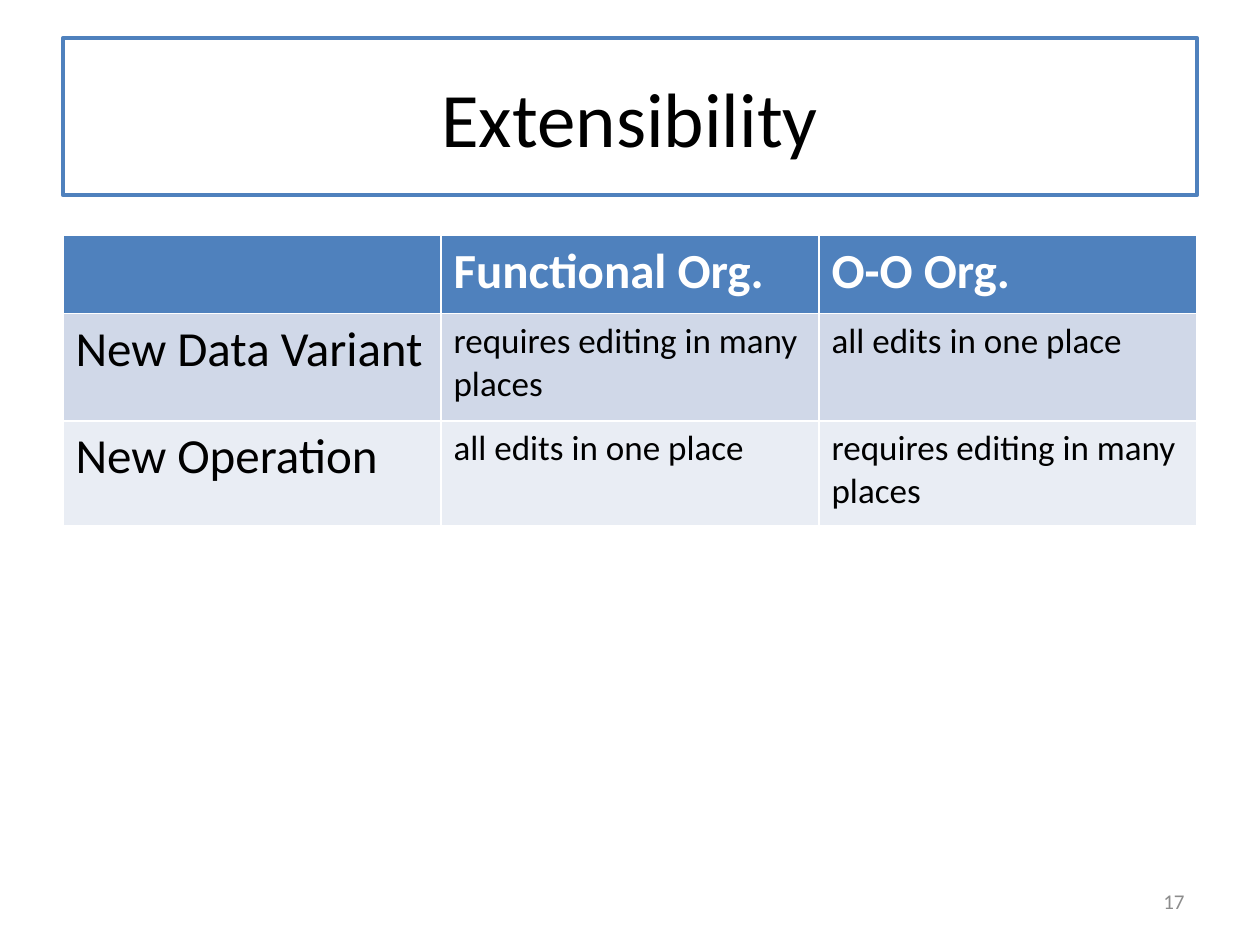
from dataclasses import dataclass

from pptx import Presentation
from pptx.dml.color import RGBColor
from pptx.enum.text import MSO_ANCHOR, PP_ALIGN
from pptx.util import Inches, Pt

MIDDLE = MSO_ANCHOR.MIDDLE
CENTER, LEFT, RIGHT = PP_ALIGN.CENTER, PP_ALIGN.LEFT, PP_ALIGN.RIGHT


@dataclass(frozen=True)
class Theme:
    """Font, colours and type sizes of the slide."""
    font: str = "Calibri"
    blue: str = "4F81BD"
    white: str = "FFFFFF"
    black: str = "000000"
    gray: str = "8C8C8C"
    bands: tuple = ("D0D8E8", "E9EDF4")
    title: int = 44
    head: int = 28
    body: int = 20
    small: int = 12


def write(frame, text, size, color, align=LEFT, bold=False):
    """Put one formatted paragraph into a text frame."""
    frame.text = text
    para = frame.paragraphs[0]
    para.alignment = align
    for run in para.runs:
        run.font.name = theme.font
        run.font.size = Pt(size)
        run.font.bold = bold
        run.font.color.rgb = RGBColor.from_string(color)


def paint(fill, color):
    """Give a fill one solid colour."""
    fill.solid()
    fill.fore_color.rgb = RGBColor.from_string(color)


theme = Theme()
deck = Presentation()
deck.slide_width, deck.slide_height = Inches(10), Inches(7.5)
slide = deck.slides.add_slide(deck.slide_layouts[5])
margin = deck.slide_width // 20
width = deck.slide_width - 2 * margin

# Title
title = slide.shapes.title
title.left, title.top = margin, Inches(0.3)
title.width, title.height = width, Inches(1.25)
paint(title.fill, theme.white)
title.line.color.rgb = RGBColor.from_string(theme.blue)
title.line.width = Pt(2.25)
title.text_frame.vertical_anchor = MIDDLE
write(title.text_frame, "Extensibility", theme.title, theme.black, CENTER)

# Comparison table
many, one = "requires editing in many places", "all edits in one place"
rows = [
    ("", "Functional Org.", "O-O Org."),
    ("New Data Variant", many, one),
    ("New Operation", one, many),
]
heights = (0.62, 0.85, 0.83)
table = slide.shapes.add_table(
    len(rows), len(rows[0]), margin, Inches(1.87), width, Inches(sum(heights))
).table
for r, (row, height) in enumerate(zip(rows, heights)):
    table.rows[r].height = Inches(height)
    top = r == 0
    for c, text in enumerate(row):
        cell = table.cell(r, c)
        paint(cell.fill, theme.blue if top else theme.bands[r - 1])
        size = theme.head if top or c == 0 else theme.body
        color = theme.white if top else theme.black
        write(cell.text_frame, text, size, color, bold=top)

# Page number
wide = Inches(2.33)
page = slide.shapes.add_textbox(
    margin + width - wide, Inches(6.95), wide, Inches(0.4)
).text_frame
page.word_wrap = True
page.vertical_anchor = MIDDLE
write(page, "17", theme.small, theme.gray, RIGHT)

deck.save("out.pptx")
